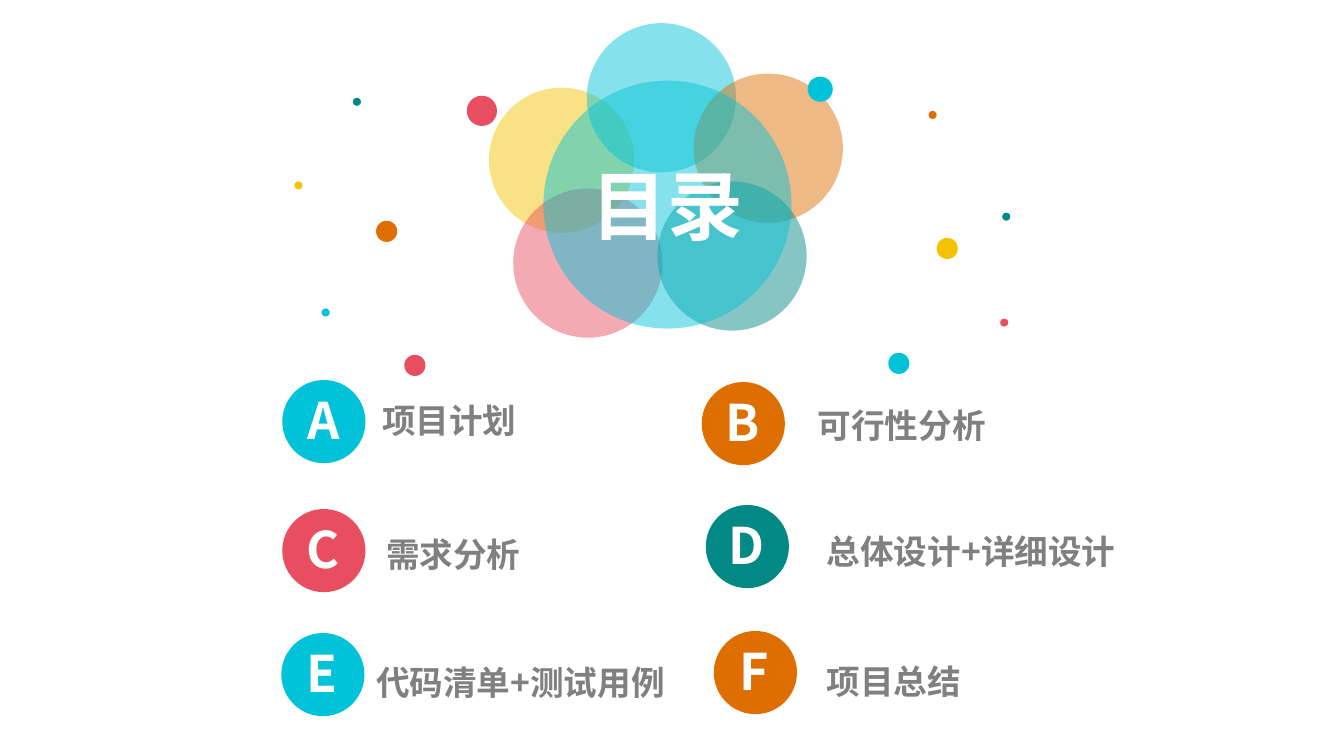
import pptx
import pptx.util
import pptx.dml.color
import pptx.enum.shapes
import pptx.enum.text
import pptx.oxml.ns
import lxml.etree

COLORS = {
    "cyan": "00C3D9", "orange": "DE6E00", "red": "E94E60", "teal": "028985",
    "yellow": "F3C301", "gray": "808080", "white": "FFFFFF",
}
FONT = "Noto Sans CJK SC"
CELL = 0.1  # inches per grid column and row
OPACITY = 48
CENTER = pptx.enum.text.PP_ALIGN.CENTER

# Colour, left, top, diameter
PETALS = [
    ("yellow", 48.5, 8.7, 14.4), ("red", 50.9, 18.7, 14.8),
    ("cyan", 58.2, 2.3, 14.8), ("orange", 68.8, 7.3, 14.8),
]
DOTS = [
    ("cyan", 80.1, 7.6, 2.5), ("red", 46.3, 9.5, 3),
    ("orange", 37.3, 21.9, 2.1), ("teal", 35, 9.7, 0.8),
    ("yellow", 29.2, 18, 0.8), ("red", 40.1, 35.2, 2.1),
    ("cyan", 31.9, 30.6, 0.8), ("yellow", 92.9, 23.6, 2.1),
    ("orange", 92.1, 11, 0.8), ("teal", 99.4, 21.1, 0.8),
    ("cyan", 88.1, 35, 2.1), ("red", 99.2, 31.6, 0.8),
]
FRONT_PETAL = ("teal", 65.2, 18, 14.8)
HEART = ("cyan", 53.9, 8, 24.6)

# Letter, colour, badge left and top, label, label left, top and width
ENTRIES = [
    ("A", "cyan", 28, 37.7, "项目计划", 37.9, 39.2, 14.6),
    ("B", "orange", 69.6, 37.9, "可行性分析", 81.1, 39.7, 18.3),
    ("C", "red", 28, 50.5, "需求分析", 38.3, 52.5, 17.2),
    ("D", "teal", 70, 50.1, "总体设计+详细设计", 82, 52.2, 32.1),
    ("E", "cyan", 27.9, 62.8, "代码清单+测试用例", 37.3, 65.2, 31.5),
    ("F", "orange", 70.8, 62.6, "项目总结", 82, 65.1, 15.2),
]


def grid(cells):
    return pptx.util.Inches(cells * CELL)


def rgb(name):
    return pptx.dml.color.RGBColor.from_string(COLORS[name])


def write(s, text, size, color, align=None):
    """Put one bold line of text into a shape and return its run."""
    tf = s.text_frame
    tf.word_wrap = True
    tf.text = text
    p = tf.paragraphs[0]
    p.alignment = align
    r = p.runs[0]
    r.font.size = pptx.util.Pt(size)
    r.font.bold = True
    r.font.name = FONT
    r.font.color.rgb = rgb(color)
    east_asian = lxml.etree.SubElement(r.font._element, pptx.oxml.ns.qn("a:ea"))
    east_asian.set("typeface", FONT)
    return r


def add_circle(shapes, color, left, top, size, opacity=100):
    s = shapes.add_shape(pptx.enum.shapes.MSO_SHAPE.OVAL,
                         grid(left), grid(top), grid(size), grid(size))
    s.shadow.inherit = False
    s.line.fill.background()
    s.fill.solid()
    s.fill.fore_color.rgb = rgb(color)
    if opacity < 100:
        srgb = s.fill._xPr.find(".//" + pptx.oxml.ns.qn("a:srgbClr"))
        alpha = lxml.etree.SubElement(srgb, pptx.oxml.ns.qn("a:alpha"))
        alpha.set("val", str(opacity * 1000))
    return s


def add_badge(shapes, letter, color, left, top):
    badge = shapes.add_group_shape().shapes
    add_circle(badge, color, left, top, 8.25)
    s = badge.add_textbox(grid(left - 2.5), grid(top + 0.4), grid(13.1), grid(7.1))
    r = write(s, letter, 36, "white", CENTER)
    r.font._element.set("spc", "-300")


def add_label(shapes, text, left, top, width):
    s = shapes.add_textbox(grid(left), grid(top), grid(width), grid(5))
    s.text_frame.margin_left = 0
    write(s, text, 24, "gray")


def main():
    prs = pptx.Presentation()
    prs.slide_width = pptx.util.Inches(13.33)
    prs.slide_height = pptx.util.Inches(7.5)
    shapes = prs.slides.add_slide(prs.slide_layouts[6]).shapes

    # Flower of translucent circles, with scattered dots
    for petal in PETALS:
        add_circle(shapes, *petal, OPACITY)
    for dot in DOTS:
        add_circle(shapes, *dot)
    add_circle(shapes, *FRONT_PETAL, OPACITY)

    # Title in the heart of the flower
    heart = add_circle(shapes, *HEART, OPACITY)
    heart.text_frame.vertical_anchor = pptx.enum.text.MSO_ANCHOR.MIDDLE
    write(heart, "目录", 54, "white", CENTER)

    # Lettered contents
    for letter, color, left, top, *label in ENTRIES:
        add_badge(shapes, letter, color, left, top)
        add_label(shapes, *label)

    prs.save("out.pptx")


if __name__ == "__main__":
    main()
